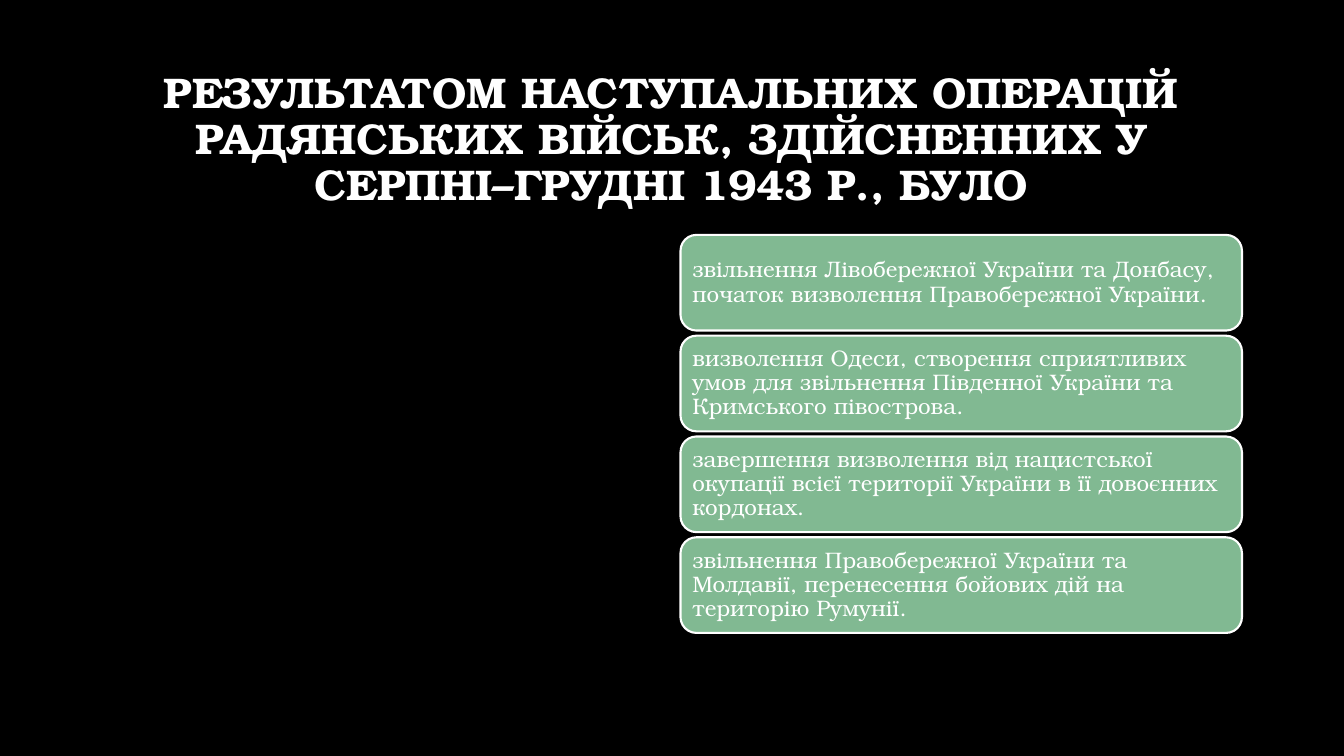
from dataclasses import dataclass

from pptx import Presentation
from pptx.dml.color import RGBColor
from pptx.enum.shapes import MSO_SHAPE
from pptx.enum.text import MSO_ANCHOR, MSO_AUTO_SIZE, PP_ALIGN
from pptx.slide import Slide
from pptx.text.text import TextFrame
from pptx.util import Cm, Pt

ROUNDED = MSO_SHAPE.ROUNDED_RECTANGLE
MIDDLE = MSO_ANCHOR.MIDDLE
NO_FIT = MSO_AUTO_SIZE.NONE
CENTER, LEFT = PP_ALIGN.CENTER, PP_ALIGN.LEFT

FONT = "TeX Gyre Bonum"
COLORS = {"background": "000000", "text": "FFFFFF", "card": "81B992", "outline": "FFFFFF"}

# Card column, in centimetres
CARD_LEFT, CARD_TOP = 17.15, 5.92
CARD_WIDTH, CARD_HEIGHT = 14.15, 2.41
CARD_PITCH = 2.54
CARD_INSET = 0.18

HEADING = (
    "РЕЗУЛЬТАТОМ НАСТУПАЛЬНИХ ОПЕРАЦІЙ РАДЯНСЬКИХ ВІЙСЬК, "
    "ЗДІЙСНЕННИХ У СЕРПНІ–ГРУДНІ 1943 Р., БУЛО"
)
OUTCOMES = (
    "звільнення Лівобережної України та Донбасу, початок визволення Правобережної України.",
    "визволення Одеси, створення сприятливих умов для звільнення Південної України "
    "та Кримського півострова.",
    "завершення визволення від нацистської окупації всієї території України "
    "в її довоєнних кордонах.",
    "звільнення Правобережної України та Молдавії, перенесення бойових дій "
    "на територію Румунії.",
)


@dataclass(frozen=True)
class OutcomeCard:
    text: str
    top: float


def color(role: str) -> RGBColor:
    return RGBColor.from_string(COLORS[role])


def write(frame: TextFrame, text: str, size: float, align: PP_ALIGN, bold: bool) -> None:
    frame.word_wrap = True
    frame.auto_size = NO_FIT
    frame.vertical_anchor = MIDDLE
    paragraph = frame.paragraphs[0]
    paragraph.alignment = align
    paragraph.line_spacing = 0.9
    paragraph.space_before = Pt(0)
    run = paragraph.add_run()
    run.text = text
    run.font.name = FONT
    run.font.size = Pt(size)
    run.font.bold = bold
    run.font.color.rgb = color("text")


def draw_heading(slide: Slide) -> None:
    heading = slide.shapes.title
    heading.left, heading.top = Cm(2.54), Cm(1.7)
    heading.width, heading.height = Cm(28.75), Cm(3.68)
    write(heading.text_frame, HEADING, 30.6, CENTER, True)


def draw_card(slide: Slide, card: OutcomeCard) -> None:
    box = slide.shapes.add_shape(
        ROUNDED, Cm(CARD_LEFT), Cm(card.top), Cm(CARD_WIDTH), Cm(CARD_HEIGHT)
    )
    box.shadow.inherit = False
    box.fill.solid()
    box.fill.fore_color.rgb = color("card")
    box.line.color.rgb = color("outline")
    box.line.width = Pt(1.5)
    frame = box.text_frame
    frame.margin_left = frame.margin_right = Cm(CARD_INSET)
    frame.margin_top = frame.margin_bottom = Cm(CARD_INSET)
    write(frame, card.text, 16, LEFT, False)


def main() -> None:
    deck = Presentation()
    deck.slide_width, deck.slide_height = Cm(33.87), Cm(19.05)
    slide = deck.slides.add_slide(deck.slide_layouts.get_by_name("Title Only"))

    # Background
    slide.background.fill.solid()
    slide.background.fill.fore_color.rgb = color("background")

    # Heading
    draw_heading(slide)

    # Outcomes, evenly stacked
    for row, text in enumerate(OUTCOMES):
        draw_card(slide, OutcomeCard(text, CARD_TOP + row * CARD_PITCH))

    deck.save("out.pptx")


if __name__ == "__main__":
    main()
